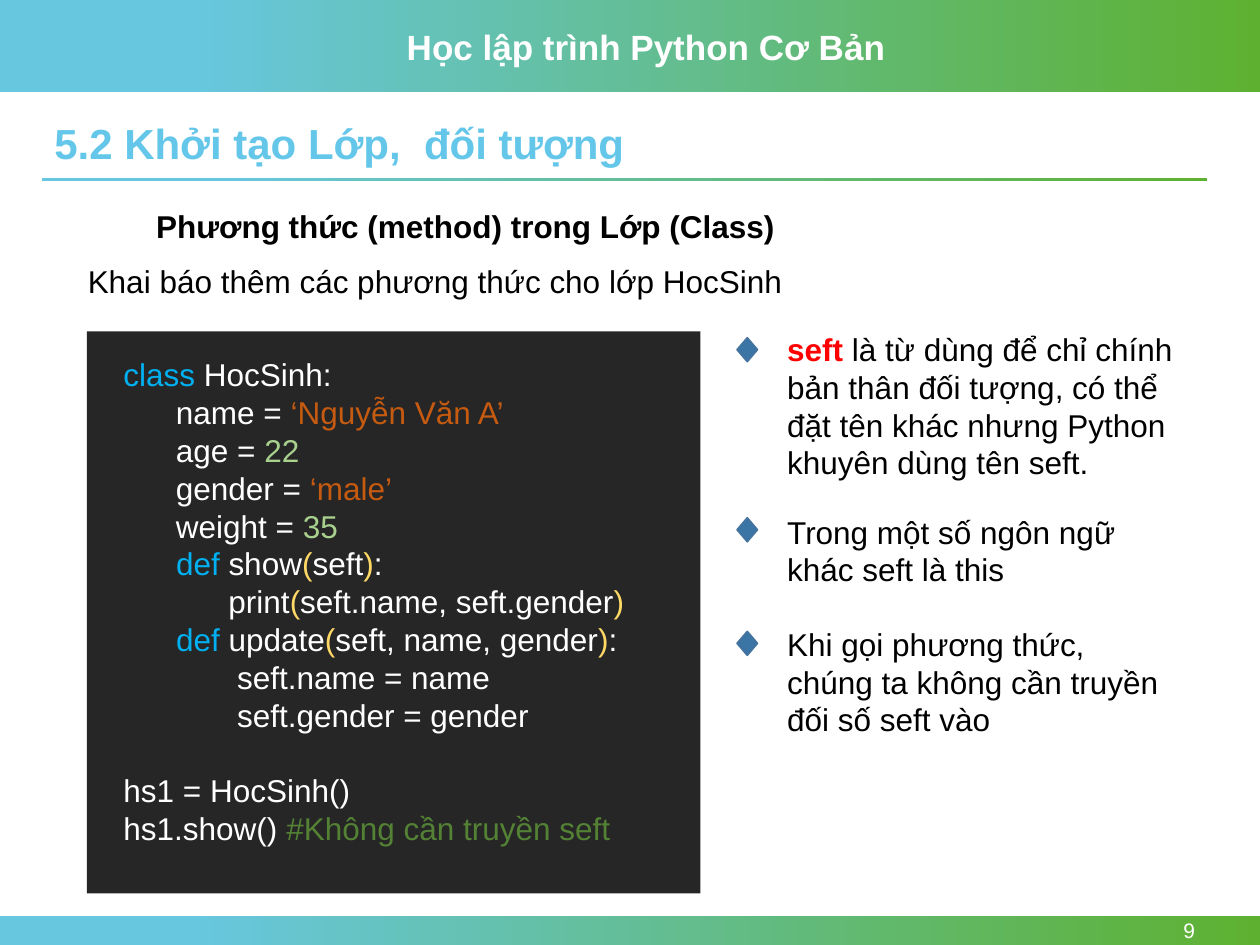
from pptx import Presentation
from pptx import util as u
from pptx.dml.color import RGBColor
from pptx.enum import shapes, text

FONT = "Arial"
WHITE, BLACK = "FFFFFF", "000000"
BLUE, ORANGE, NUMBER, BRACKET, COMMENT = "00B0F0", "C55A11", "A9D18E", "FFD966", "548235"

HEADER = "Học lập trình Python Cơ Bản"
TITLE = "5.2 Khởi tạo Lớp,  đối tượng"
SUBTITLE = "Phương thức (method) trong Lớp (Class)"
INTRO = "Khai báo thêm các phương thức cho lớp HocSinh"
PAGE_NUMBER = "9"

CODE = [
    [("class ", BLUE), ("HocSinh:", WHITE)],
    [("      name = ", WHITE), ("‘Nguyễn Văn A’", ORANGE)],
    [("      age = ", WHITE), ("22", NUMBER)],
    [("      gender = ", WHITE), ("‘male’", ORANGE)],
    [("      weight = ", WHITE), ("35", NUMBER)],
    [("      ", WHITE), ("def", BLUE), (" show", WHITE), ("(", BRACKET),
     ("seft", WHITE), (")", BRACKET), (":", WHITE)],
    [("            print", WHITE), ("(", BRACKET),
     ("seft.name, seft.gender", WHITE), (")", BRACKET)],
    [("      ", WHITE), ("def", BLUE), (" update", WHITE), ("(", BRACKET),
     ("seft, name, gender", WHITE), (")", BRACKET), (":", WHITE)],
    [("             seft.name = name", WHITE)],
    [("             seft.gender = gender", WHITE)],
    [("hs1 = HocSinh()", WHITE)],
    [("hs1.show() ", WHITE), ("#Không cần truyền seft", COMMENT)],
]
USAGE_LINE = 10

NOTES = [
    (6.53, 3.33, 6.81, [("seft ", "FF0000", True),
     ("là từ dùng để chỉ chính bản thân đối tượng, có thể đặt tên khác "
      "nhưng Python khuyên dùng tên seft.", BLACK)]),
    (10.21, 1.8, 10.44, [("Trong một số ngôn ngữ khác seft là this", BLACK)]),
    (12.47, 2.57, 12.73, [("Khi gọi phương thức, chúng ta không cần truyền đối số seft vào", BLACK)]),
]

BANDS = [(0, 0, 25.4, 1.85), (0, 18.47, 25.4, 0.58), (0.84, 3.58, 23.5, 0.08)]


def color(hex_code):
    return RGBColor.from_string(hex_code)


def add_spans(para, spans, size=18):
    for words, hex_code, *bold in spans:
        span = para.add_run()
        span.text = words
        span.font.name = FONT
        span.font.size = u.Pt(size)
        span.font.bold = bool(bold)
        span.font.color.rgb = color(hex_code)


def add_text(page, place, lines, size=18):
    box = page.shapes.add_textbox(*map(u.Cm, place))
    frame = box.text_frame
    frame.word_wrap = True
    for index, spans in enumerate(lines):
        para = frame.add_paragraph() if index else frame.paragraphs[0]
        add_spans(para, spans, size)
    return frame


def add_box(page, place, kind=shapes.MSO_SHAPE.RECTANGLE):
    box = page.shapes.add_shape(kind, *map(u.Cm, place))
    box.shadow.inherit = False
    box.line.fill.background()
    return box


def add_band(page, place):
    fill = add_box(page, place).fill
    fill.gradient()
    fill.gradient_angle = 0
    for stop, position, hex_code in zip(fill.gradient_stops, (0.15, 1), ("67C7DF", "5EB130")):
        stop.position = position
        stop.color.rgb = color(hex_code)


def set_title(page):
    title = page.shapes.title
    title.left, title.top, title.width, title.height = map(u.Cm, (0.84, 2.36, 23.5, 1.17))
    frame = title.text_frame
    frame.word_wrap = True
    frame.auto_size = text.MSO_AUTO_SIZE.NONE
    frame.vertical_anchor = text.MSO_ANCHOR.TOP
    para = frame.paragraphs[0]
    para.alignment = text.PP_ALIGN.LEFT
    para.line_spacing = 0.9
    add_spans(para, [(TITLE, "64C7E9", True)], 24)


def add_note(page, top, height, marker_top, spans):
    add_text(page, (15.62, top, 8.28, height), [spans])
    marker = add_box(page, (14.86, marker_top, 0.41, 0.48), shapes.MSO_SHAPE.FLOWCHART_DECISION)
    marker.fill.solid()
    marker.fill.fore_color.rgb = color("3A75A6")
    marker.line.color.rgb = color("43739E")
    marker.line.width = u.Pt(1)


def main():
    deck = Presentation()
    deck.slide_width, deck.slide_height = u.Cm(25.4), u.Cm(19.05)
    page = deck.slides.add_slide(deck.slide_layouts[5])

    for place in BANDS:
        add_band(page, place)
    set_title(page)
    add_text(page, (7.95, 0.38, 10.16, 1.12), [[(HEADER, WHITE, True)]], 20)
    number = add_text(page, (22, 18.47, 2.34, 0.58), [[(PAGE_NUMBER, WHITE)]], 12)
    number.vertical_anchor = text.MSO_ANCHOR.MIDDLE
    number.paragraphs[0].alignment = text.PP_ALIGN.RIGHT

    add_text(page, (2.9, 4.04, 17.86, 1.02), [[(SUBTITLE, BLACK, True)]])
    add_text(page, (1.52, 5.16, 20.09, 1.02), [[(INTRO, BLACK)]])

    panel = add_box(page, (1.75, 6.68, 12.37, 11.33))
    panel.fill.solid()
    panel.fill.fore_color.rgb = color("262626")
    code = add_text(page, (2.24, 7.04, 11.2, 10.26), CODE)
    code.paragraphs[USAGE_LINE].space_before = u.Pt(21.6)

    for note in NOTES:
        add_note(page, *note)

    deck.save("out.pptx")


if __name__ == "__main__":
    main()
